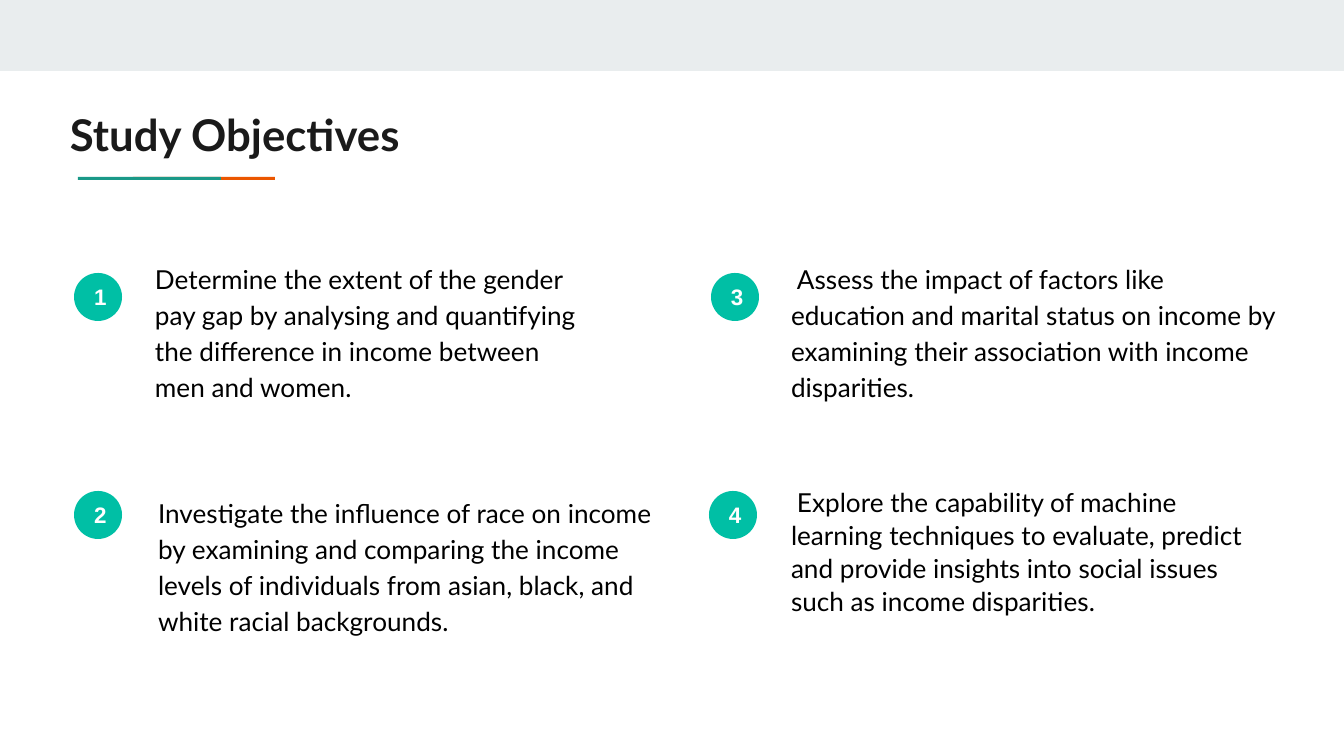
from pptx import Presentation
from pptx.dml.color import RGBColor
from pptx.enum.shapes import MSO_SHAPE
from pptx.enum.text import MSO_ANCHOR, PP_ALIGN
from pptx.util import Pt

RECTANGLE, OVAL = MSO_SHAPE.RECTANGLE, MSO_SHAPE.OVAL
TOP, MIDDLE = MSO_ANCHOR.TOP, MSO_ANCHOR.MIDDLE
LEFT, CENTER = PP_ALIGN.LEFT, PP_ALIGN.CENTER
EMU_PER_PX = 914400 / 134.4
INSET = 13
BADGE_SIZE = 48
COLORS = {
    "band": "E9EDEE", "orange": "EB5600", "teal": "1A9988", "badge": "00BFA5",
    "title": "1A1A1A", "body": "000000", "white": "FFFFFF",
}
OBJECTIVES = [
    ((74, 273), (142, 246, 454, 155), 1.15, 0,
     "Determine the extent of the gender pay gap by analysing and quantifying "
     "the difference in income between men and women."),
    ((74, 491), (145, 480, 542, 155), 1.15, 0,
     "Investigate the influence of race on income by examining and comparing the income "
     "levels of individuals from asian, black, and white racial backgrounds."),
    ((711, 273), (778, 246, 520, 155), 1.15, 6,
     "Assess the impact of factors like education and marital status on income by "
     "examining their association with income disparities."),
    ((709, 491), (778, 472, 497, 155), 1.05, 6,
     "Explore the capability of machine learning techniques to evaluate, predict "
     "and provide insights into social issues such as income disparities."),
]


def px(value):
    return round(value * EMU_PER_PX)


def color(name):
    return RGBColor.from_string(COLORS[name])


def add_filled(slide, kind, box, fill):
    shape = slide.shapes.add_shape(kind, *map(px, box))
    shape.shadow.inherit = False
    shape.fill.solid()
    shape.fill.fore_color.rgb = color(fill)
    shape.line.fill.background()
    return shape


def write(shape, text, font, size, ink, bold=False, align=LEFT, anchor=TOP):
    frame = shape.text_frame
    frame.word_wrap = True
    frame.vertical_anchor = anchor
    frame.margin_left = frame.margin_right = px(INSET)
    frame.margin_top = frame.margin_bottom = px(INSET)
    paragraph = frame.paragraphs[0]
    paragraph.text = text
    paragraph.alignment = align
    paragraph.font.name = font
    paragraph.font.size = Pt(size)
    paragraph.font.bold = bold
    paragraph.font.color.rgb = color(ink)
    return paragraph


def add_text(slide, box, text, size, ink, bold=False):
    shape = slide.shapes.add_textbox(*map(px, box))
    return write(shape, text, "Lato", size, ink, bold)


def add_objective(slide, number, corner, box, spacing, indent, text):
    badge = add_filled(slide, OVAL, (*corner, BADGE_SIZE, BADGE_SIZE), "badge")
    write(badge, str(number), "Arial", 12, "white", True, CENTER, MIDDLE)
    paragraph = add_text(slide, box, text, 14, "body")
    paragraph.line_spacing = spacing
    if indent:
        paragraph._p.get_or_add_pPr().set("indent", str(px(indent)))


def main():
    """Build the study objectives slide."""
    presentation = Presentation()
    presentation.slide_width, presentation.slide_height = px(1344), px(756)
    slide = presentation.slides.add_slide(presentation.slide_layouts[6])
    add_filled(slide, RECTANGLE, (0, 0, 1344, 71), "band")
    add_filled(slide, RECTANGLE, (133, 177, 142, 3), "orange")
    add_filled(slide, RECTANGLE, (78, 177, 143, 3), "teal")
    add_text(slide, (57, 95, 1130, 79), "Study Objectives", 23.4, "title", True)
    for number, objective in enumerate(OBJECTIVES, 1):
        add_objective(slide, number, *objective)
    presentation.save("out.pptx")


if __name__ == "__main__":
    main()
